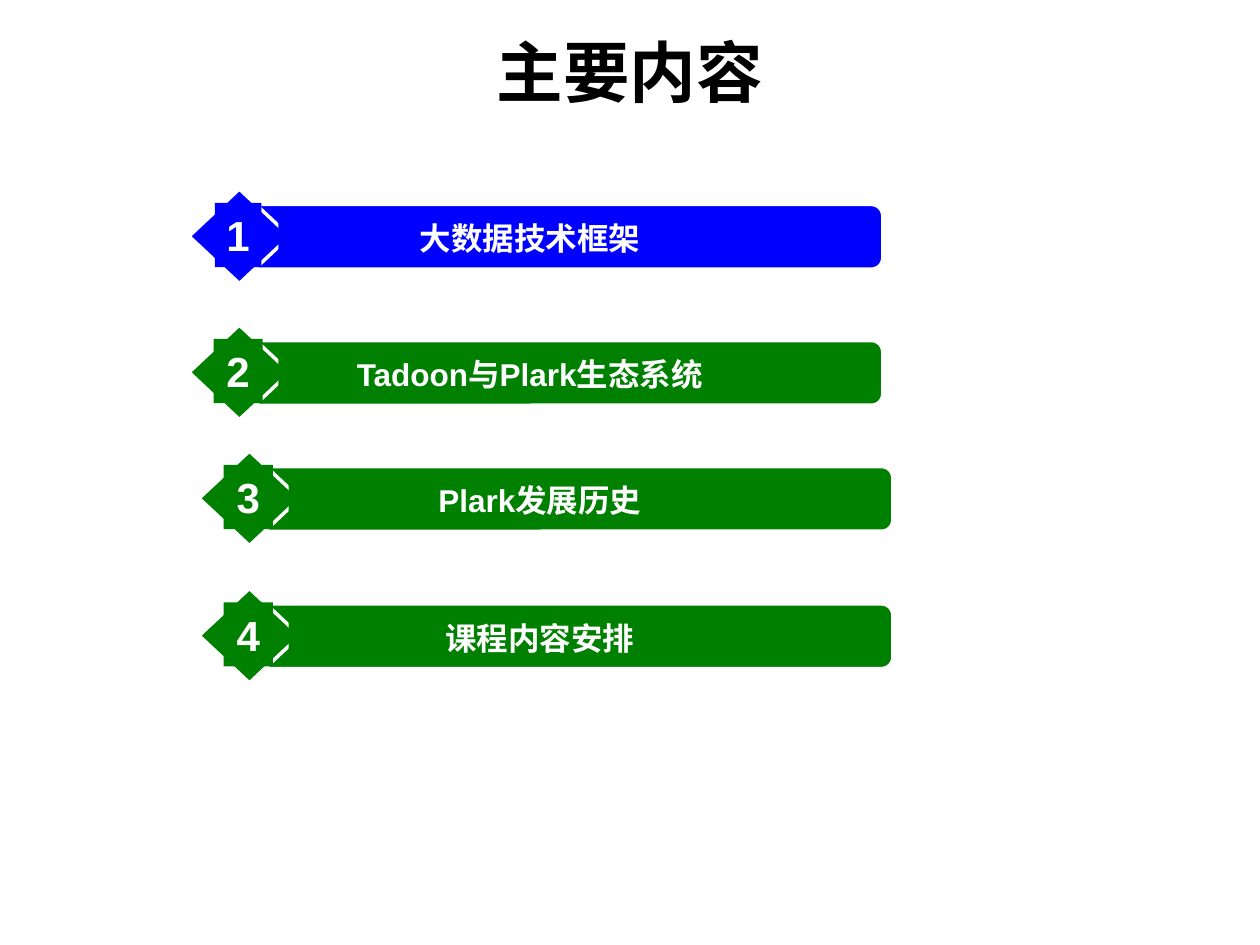
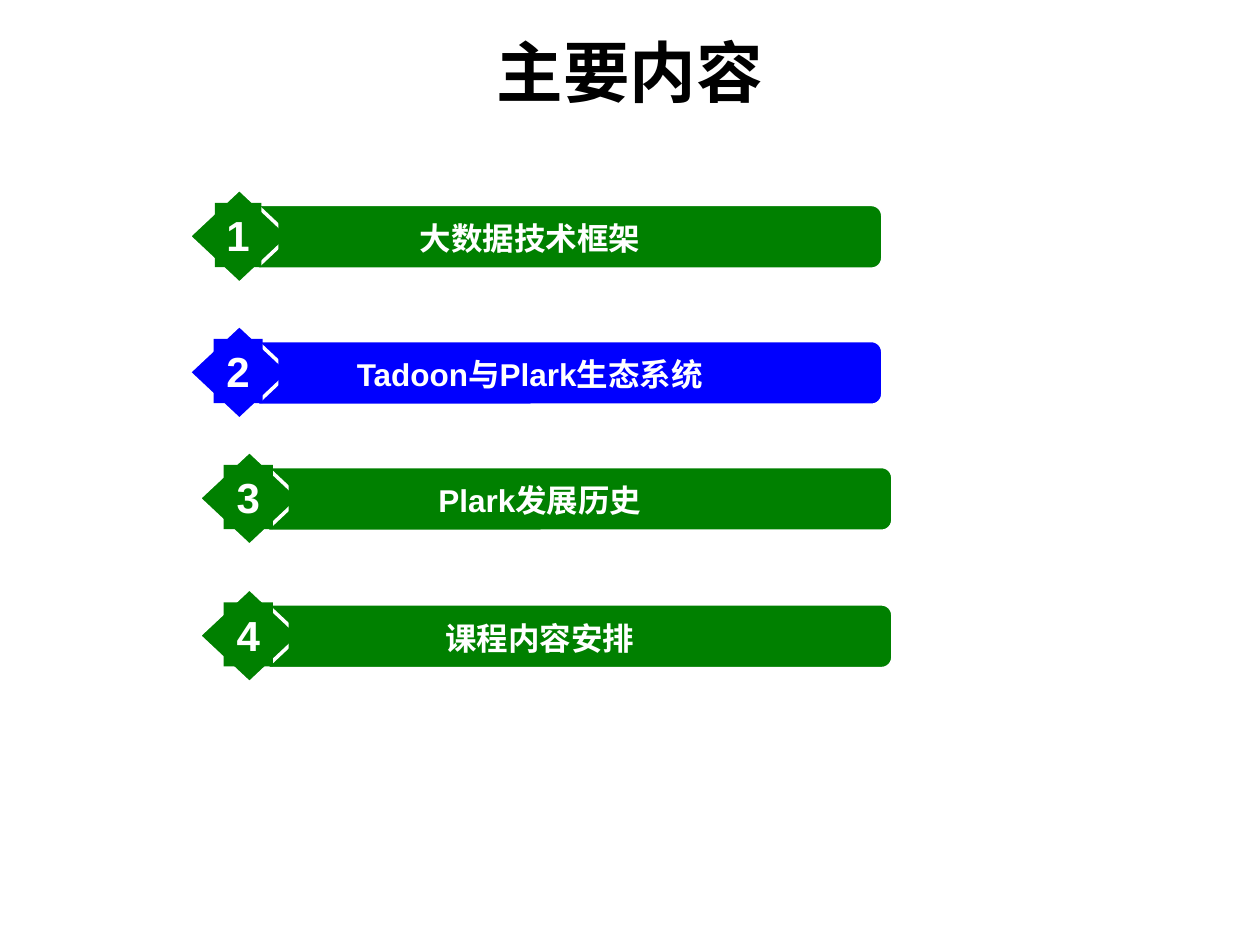
"""Build two agenda slides, each highlighting its current topic."""
import pptx
import pptx.util
import pptx.dml.color
import pptx.enum.shapes
import pptx.enum.text
import pptx.oxml.ns
import lxml.etree

Inches = pptx.util.Inches
Pt = pptx.util.Pt
SHAPE = pptx.enum.shapes.MSO_SHAPE
COLORS = {"current": "0000FF", "other": "008000", "white": "FFFFFF", "black": "000000"}
LATIN_FONT = "Arial"
CJK_FONT = "Noto Sans CJK SC"
TOPICS = [
    ("大数据技术框架", 1.5, 1.5, 0.37),
    ("Tadoon与Plark生态系统", 1.5, 2.58, 0.39),
    ("Plark发展历史", 1.58, 3.58, 0.39),
    ("课程内容安排", 1.58, 4.67, 0.39),
]


def add_block(shapes, kind, left, top, width, height, fill, line_width=0):
    sp = shapes.add_shape(kind, Inches(left), Inches(top), Inches(width), Inches(height))
    sp.shadow.inherit = False
    sp.fill.solid()
    sp.fill.fore_color.rgb = pptx.dml.color.RGBColor.from_string(COLORS[fill])
    if line_width:
        sp.line.color.rgb = pptx.dml.color.RGBColor.from_string(COLORS["white"])
        sp.line.width = Pt(line_width)
    else:
        sp.line.fill.background()
    return sp


def write_text(sp, text, size, color, font=LATIN_FONT, wrap=True):
    tf = sp.text_frame
    tf.word_wrap = wrap
    tf.vertical_anchor = pptx.enum.text.MSO_ANCHOR.MIDDLE
    p = tf.paragraphs[0]
    p.alignment = pptx.enum.text.PP_ALIGN.CENTER
    r = p.add_run()
    r.text = text
    r.font.size = Pt(size)
    r.font.bold = True
    r.font.name = font
    r.font.color.rgb = pptx.dml.color.RGBColor.from_string(COLORS[color])
    ea = lxml.etree.SubElement(r.font._element, pptx.oxml.ns.qn("a:ea"))
    ea.set("typeface", CJK_FONT)


prs = pptx.Presentation()
prs.slide_width = Inches(10)
prs.slide_height = Inches(7.5)

for current in (1, 2):
    s = prs.slides.add_slide(prs.slide_layouts[6])
    for number, (topic, left, top, number_width) in enumerate(TOPICS, 1):
        fill = "current" if number == current else "other"
        shapes = s.shapes.add_group_shape().shapes
        bar = add_block(shapes, SHAPE.ROUNDED_RECTANGLE, left + 0.44, top + 0.13, 5.06, 0.5, fill, 1)
        bar.adjustments[0] = 0.167
        add_block(shapes, SHAPE.DIAMOND, left, top, 0.8, 0.75, fill, 2)
        label = add_block(shapes, SHAPE.RECTANGLE, left + 0.71, top + 0.19, 3.99, 0.4, fill)
        write_text(label, topic, 18, "white")
        number_left = left + 0.39 - number_width / 2
        badge = add_block(shapes, SHAPE.RECTANGLE, number_left, top + 0.11, number_width, 0.51, fill)
        write_text(badge, str(number), 24, "white", wrap=False)

    title = s.shapes.add_textbox(Inches(0), Inches(0.17), Inches(10), Inches(0.79))
    write_text(title, "主要内容", 38, "black", CJK_FONT)

prs.save("out.pptx")
